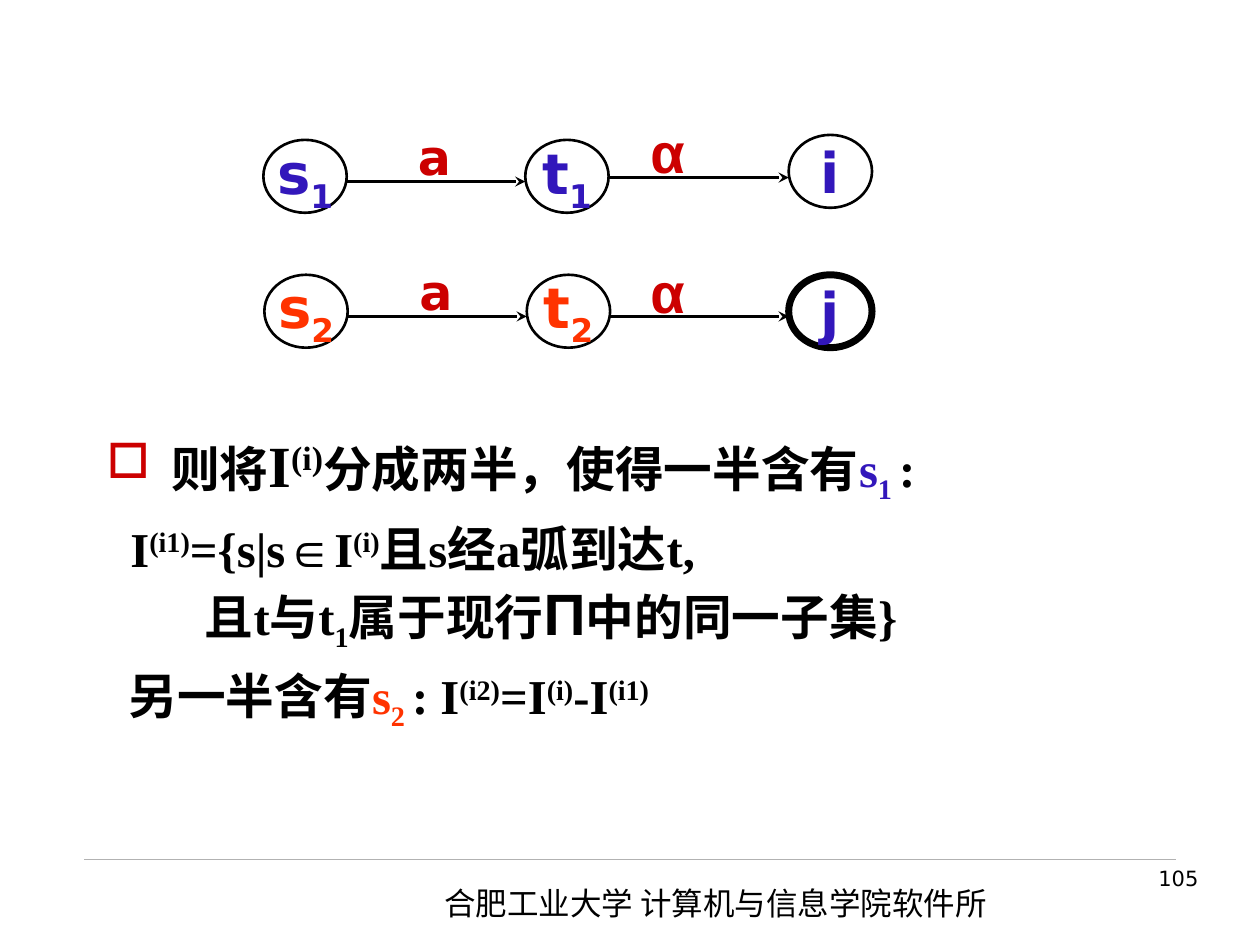
import pptx
import pptx.util
import pptx.dml.color
import pptx.enum.shapes
import pptx.enum.text
import pptx.oxml.ns
from lxml import etree
from pptx.util import Cm

COLORS = {"ink": "000000", "red": "CC0000", "blue": "3217BB", "orange": "FF3300", "rule": "B2B2B2"}
SERIF, SANS, GREEK, CJK = "Times New Roman", "DejaVu Sans", "Arial", "Noto Sans CJK SC"
CENTER = pptx.enum.text.PP_ALIGN.CENTER
MIDDLE = pptx.enum.text.MSO_ANCHOR.MIDDLE


def write(paragraph, text, size=27.8, font=SERIF, color="ink", bold=True, base=0):
    run = paragraph.add_run()
    run.text = text
    run.font.size = pptx.util.Pt(size)
    run.font.bold = bold
    run.font.color.rgb = pptx.dml.color.RGBColor.from_string(COLORS[color])
    run.font.name = font
    properties = run._r.get_or_add_rPr()
    etree.SubElement(properties, pptx.oxml.ns.qn("a:ea")).set("typeface", CJK)
    if base:
        properties.set("baseline", str(base * 1000))


def draw_line(left, right, y, color, weight, arrow=False):
    line = slide.shapes.add_connector(
        pptx.enum.shapes.MSO_CONNECTOR.STRAIGHT, Cm(left), Cm(y), Cm(right), Cm(y))
    line.line.color.rgb = pptx.dml.color.RGBColor.from_string(COLORS[color])
    line.line.width = pptx.util.Pt(weight)
    if arrow:
        tail = etree.SubElement(line.line._get_or_add_ln(), pptx.oxml.ns.qn("a:tailEnd"))
        tail.set("type", "stealth")
    etree.SubElement(line._element.spPr, pptx.oxml.ns.qn("a:effectLst"))


deck = pptx.Presentation()
deck.slide_width, deck.slide_height = Cm(25.4), Cm(19.05)
slide = deck.slides.add_slide(deck.slide_layouts[6])

draw_line(1.7, 23.7, 17.32, "rule", 0.25)

institute = slide.shapes.add_textbox(Cm(8.71), Cm(17.7), Cm(11.99), Cm(1.02)).text_frame
institute.word_wrap = True
write(institute.paragraphs[0], "合肥工业大学 计算机与信息学院软件所", size=18, font=CJK, bold=False)

page_number = slide.shapes.add_textbox(Cm(18.9), Cm(17.32), Cm(5.51), Cm(1.32)).text_frame
page_number.word_wrap = True
page_number.paragraphs[0].alignment = pptx.enum.text.PP_ALIGN.RIGHT
write(page_number.paragraphs[0], "105", size=12, font=SANS, bold=False)

sup, sub = {"base": 30}, {"base": -25}
statements = [
    (1.3, -1.3, 0, [
        ("则将", {}), ("I", {"size": 33.3}), ("(i)", {"size": 33.3, **sup}),
        ("分成两半，使得一半含有", {}), ("s", {"color": "blue"}),
        ("1 ", {"color": "blue", **sub}), (":", {})]),
    (0.48, 0, 7.5, [
        ("I", {}), ("(i1)", sup), ("={s|s", {}), ("∈", {"font": GREEK}),
        ("I", {}), ("(i)", sup), ("且s经a弧到达t,", {})]),
    (1.98, 0, 0, [
        ("且t与t", {}), ("1", sub), ("属于现行", {}),
        ("Π", {"size": 33.3, "font": GREEK}), ("中的同一子集}", {})]),
    (0.44, 0, 7.5, [
        ("另一半含有", {}), ("s", {"color": "orange"}), ("2 ", {"color": "orange", **sub}),
        (": I", {}), ("(i2)", sup), ("=I", {}), ("(i)", sup), ("-I", {}), ("(i1)", sup)]),
]
split_rule = slide.shapes.add_textbox(Cm(1.9), Cm(8.53), Cm(22.23), Cm(6.83)).text_frame
split_rule.word_wrap = True
for position, (margin, indent, space, pieces) in enumerate(statements):
    statement = split_rule.paragraphs[0] if position == 0 else split_rule.add_paragraph()
    properties = statement._p.get_or_add_pPr()
    properties.set("marL", str(Cm(margin)))
    properties.set("indent", str(Cm(indent)))
    if space:
        statement.space_before = pptx.util.Pt(space)
    if indent:
        bullet_color = etree.SubElement(properties, pptx.oxml.ns.qn("a:buClr"))
        etree.SubElement(bullet_color, pptx.oxml.ns.qn("a:srgbClr")).set("val", COLORS["red"])
        etree.SubElement(properties, pptx.oxml.ns.qn("a:buChar")).set("char", "□")
    for text, style in pieces:
        write(statement, text, **style)

states = [
    ("s", "1", 5.31, 2.82, "blue", 1.5),
    ("t", "1", 10.59, 2.82, "blue", 1.5),
    ("i", "", 15.9, 2.72, "blue", 1.5),
    ("s", "2", 5.33, 5.54, "orange", 1.5),
    ("t", "2", 10.62, 5.54, "orange", 1.5),
    ("j", "", 15.9, 5.54, "blue", 4),
]
for name, index, left, top, color, weight in states:
    state = slide.shapes.add_shape(
        pptx.enum.shapes.MSO_SHAPE.OVAL, Cm(left), Cm(top), Cm(1.68), Cm(1.47))
    state.shadow.inherit = False
    state.fill.background()
    state.line.color.rgb = pptx.dml.color.RGBColor.from_string(COLORS["ink"])
    state.line.width = pptx.util.Pt(weight)
    state.text_frame.word_wrap = False
    state.text_frame.vertical_anchor = MIDDLE
    state_name = state.text_frame.paragraphs[0]
    state_name.alignment = CENTER
    write(state_name, name, size=32, font=SANS, color=color)
    if index:
        write(state_name, index, size=32, font=SANS, color=color, base=-25)

transitions = [
    ("a", 28, SANS, 7.59, 2.41, 6.99, 10.59, 3.66),
    ("α", 32, GREEK, 12.29, 2.31, 12.29, 15.9, 3.58),
    ("a", 28, SANS, 7.62, 5.13, 7.01, 10.62, 6.38),
    ("α", 32, GREEK, 12.29, 5.13, 12.29, 15.9, 6.38),
]
for symbol, size, font, left, top, start, end, y in transitions:
    draw_line(start, end, y, "ink", 1.5, arrow=True)
    label = slide.shapes.add_textbox(Cm(left), Cm(top), Cm(2.34), Cm(1.47)).text_frame
    label.word_wrap = False
    label.vertical_anchor = MIDDLE
    label.paragraphs[0].alignment = CENTER
    write(label.paragraphs[0], symbol, size=size, font=font, color="red")

deck.save("out.pptx")
